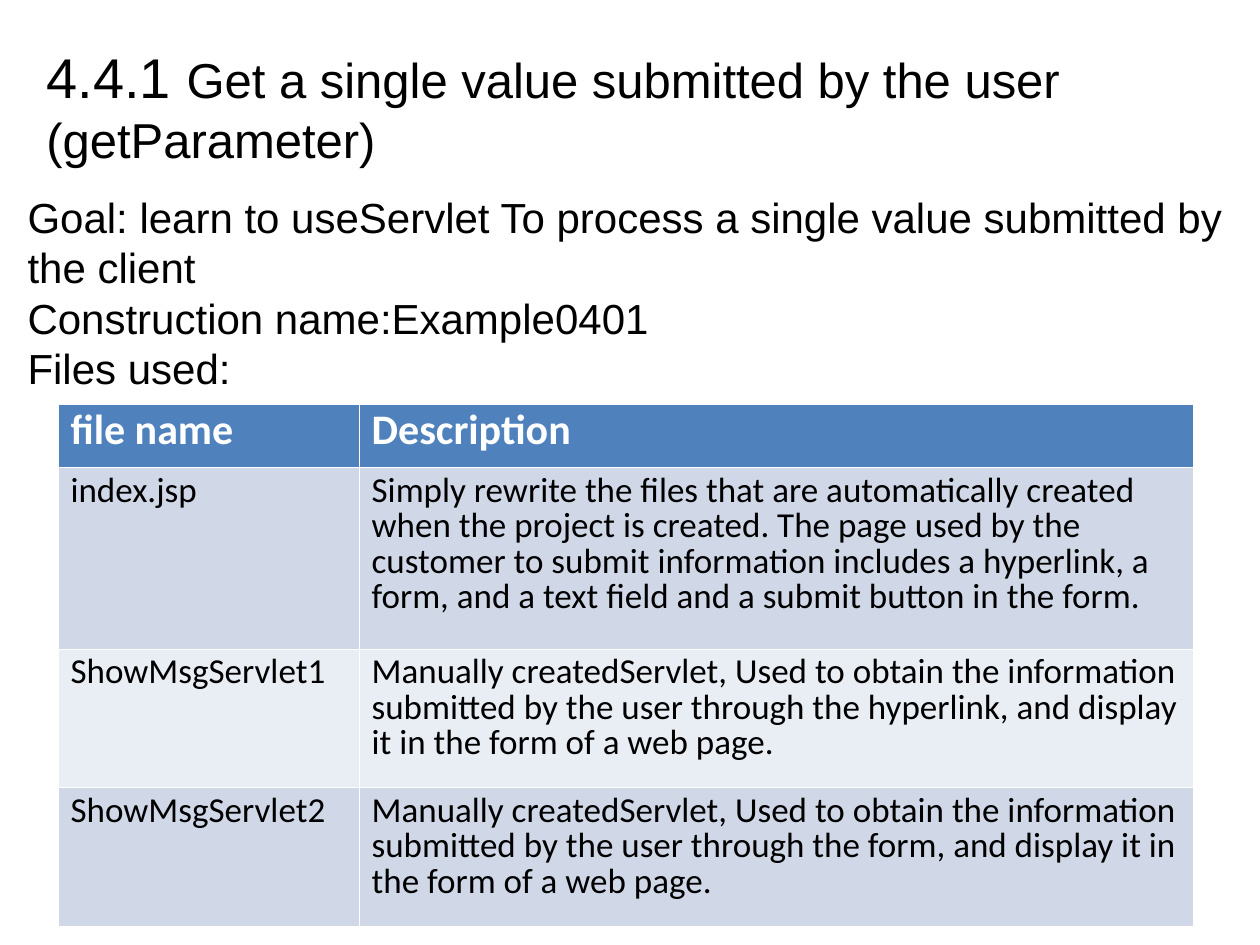
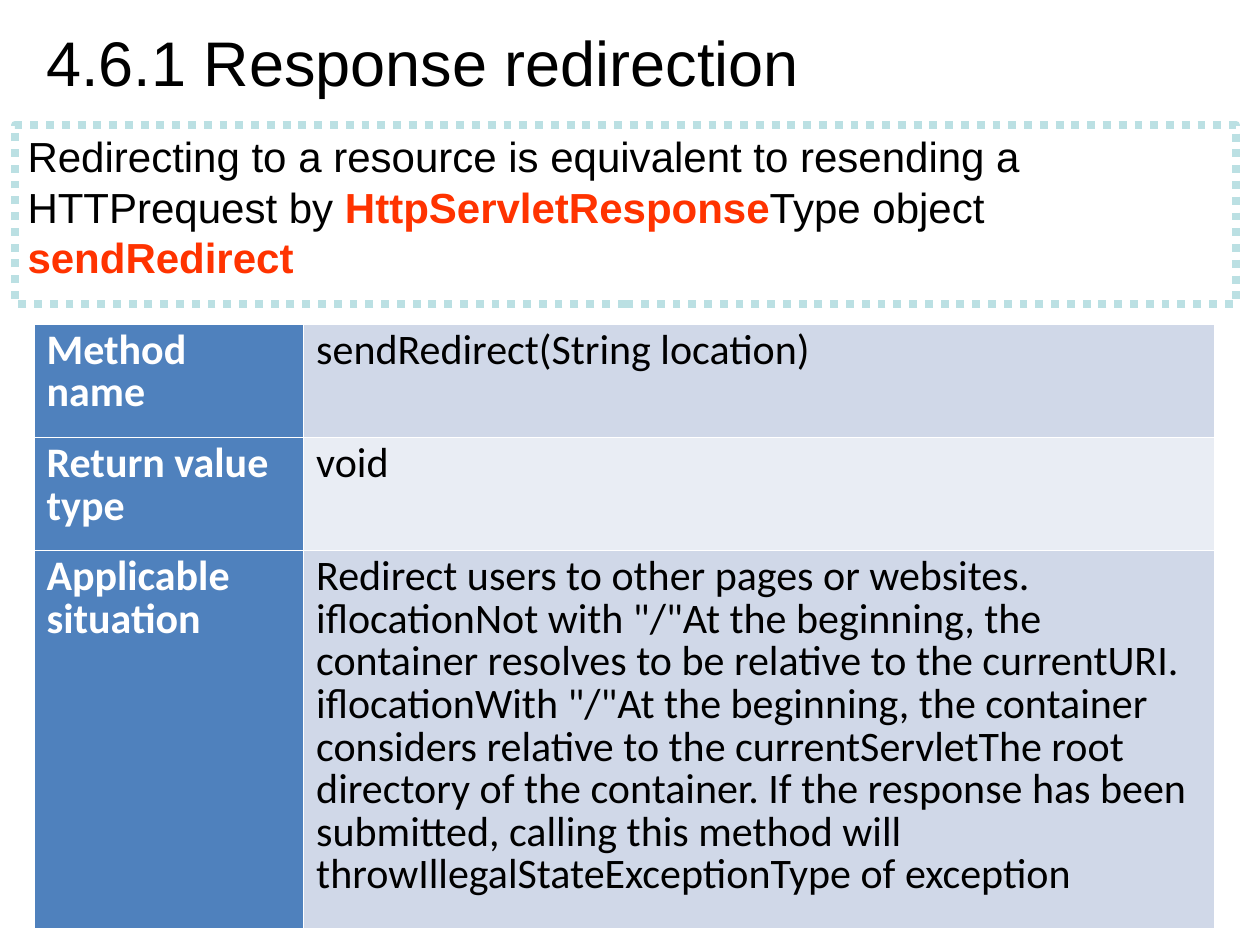
from pptx import Presentation
from pptx.dml.color import RGBColor
from pptx.enum.dml import MSO_LINE
from pptx.enum.shapes import MSO_SHAPE
from pptx.enum.text import MSO_ANCHOR, PP_ALIGN
from pptx.oxml import parse_xml
from pptx.oxml.ns import nsdecls
from pptx.util import Inches, Pt

RECTANGLE = MSO_SHAPE.RECTANGLE
MIDDLE, TOP = MSO_ANCHOR.MIDDLE, MSO_ANCHOR.TOP
LEFT = PP_ALIGN.LEFT
DOTTED = MSO_LINE.ROUND_DOT
COLORS = {
    "text": "000000",
    "white": "FFFFFF",
    "header": "4F81BD",
    "band_dark": "D0D8E8",
    "band_light": "E9EDF4",
    "frame": "BBE0E3",
    "keyword": "FF3300",
}
HEADING_FONT, TABLE_FONT = "Arial", "Calibri"

FILES = [
    ("file name", "Description"),
    ("index.jsp",
     "Simply rewrite the files that are automatically created when the project is created. "
     "The page used by the customer to submit information includes a hyperlink, a form, "
     "and a text field and a submit button in the form."),
    ("ShowMsgServlet1",
     "Manually createdServlet, Used to obtain the information submitted by the user "
     "through the hyperlink, and display it in the form of a web page."),
    ("ShowMsgServlet2",
     "Manually createdServlet, Used to obtain the information submitted by the user "
     "through the form, and display it in the form of a web page."),
]
METHOD = [
    ("Method name", "sendRedirect(String location)"),
    ("Return value type", "void"),
    ("Applicable situation",
     "Redirect users to other pages or websites. iflocationNot with \"/\"At the beginning, "
     "the container resolves to be relative to the currentURI. iflocationWith \"/\"At the "
     "beginning, the container considers relative to the currentServletThe root directory "
     "of the container. If the response has been submitted, calling this method will "
     "throwIllegalStateExceptionType of exception"),
]


def rgb(name):
    """Return the palette colour called name."""
    return RGBColor.from_string(COLORS[name])


def style(font, size, name=HEADING_FONT, color="text", bold=False):
    """Set size, typeface, colour and weight of a font."""
    font.size, font.name, font.bold = Pt(size), name, bold
    font.color.rgb = rgb(color)


def add_runs(p, runs):
    """Fill a paragraph with (text, size, colour, bold) runs."""
    p.alignment = LEFT
    for text, size, color, bold in runs:
        r = p.add_run()
        r.text = text
        style(r.font, size, color=color, bold=bold)


def add_text(s, box, paragraphs, anchor=TOP):
    """Add a wrapping text box with one list of runs per paragraph."""
    tf = s.shapes.add_textbox(*map(Inches, box)).text_frame
    tf.word_wrap, tf.vertical_anchor = True, anchor
    for i, runs in enumerate(paragraphs):
        add_runs(tf.paragraphs[0] if i == 0 else tf.add_paragraph(), runs)


def add_title(s, top, height, *parts):
    """Add the slide title from (text, size) parts."""
    runs = [(text, size, "text", False) for text, size in parts]
    add_text(s, (0.27, top, 9, height), [runs], MIDDLE)


def add_dotted_box(s, box, runs):
    """Add a dotted frame holding one paragraph."""
    sp = s.shapes.add_shape(RECTANGLE, *map(Inches, box))
    sp.shadow.inherit = False
    sp.fill.background()
    sp.line.color.rgb = rgb("frame")
    sp.line.width, sp.line.dash_style = Pt(4.5), DOTTED
    tf = sp.text_frame
    tf.word_wrap, tf.vertical_anchor = True, TOP
    add_runs(tf.paragraphs[0], runs)


def add_borders(cell):
    """Give a cell thin white borders on all sides."""
    tc_pr = cell._tc.get_or_add_tcPr()
    for i, side in enumerate("LRTB"):
        tc_pr.insert(i, parse_xml(
            f'<a:ln{side} {nsdecls("a")} w="3175"><a:solidFill>'
            f'<a:srgbClr val="{COLORS["white"]}"/></a:solidFill></a:ln{side}>'))


def add_grid(s, left, top, widths, heights, rows, body_size, header_row):
    """Add a banded table headed by its first row or its first column."""
    frame = s.shapes.add_table(len(rows), len(widths), Inches(left), Inches(top),
                               Inches(sum(widths)), Inches(sum(heights)))
    table = frame.table
    table.first_row = table.horz_banding = False
    for column, width in zip(table.columns, widths):
        column.width = Inches(width)
    for i, (height, texts) in enumerate(zip(heights, rows)):
        table.rows[i].height = Inches(height)
        band = "band_dark" if (i - header_row) % 2 == 0 else "band_light"
        for j, text in enumerate(texts):
            is_header = (i if header_row else j) == 0
            cell = table.cell(i, j)
            cell.text = text
            cell.fill.solid()
            cell.fill.fore_color.rgb = rgb("header" if is_header else band)
            add_borders(cell)
            p = cell.text_frame.paragraphs[0]
            p.line_spacing = 0.83
            style(p.runs[0].font, 24 if is_header else body_size, TABLE_FONT,
                  "white" if is_header else "text", is_header)


def build_parameter_slide(s):
    """Build the slide on reading a single submitted value."""
    add_title(s, 0.21, 1.25, ("4.4.1 ", 32),
              ("Get a single value submitted by the user (getParameter)", 28))
    add_grid(s, 0.46, 3.21, (2.39, 6.62), (0.5, 1.44, 1.1, 1.1), FILES, 20, True)
    lines = ("Goal: learn to useServlet To process a single value submitted by the client",
             "Construction name:Example0401", "Files used:")
    add_text(s, (0.12, 1.47, 9.69, 1.7), [[(line, 24, "text", False)] for line in lines])


def build_redirect_slide(s):
    """Build the slide on response redirection."""
    add_title(s, 0.05, 0.87, ("4.6.1 Response redirection", 36))
    add_dotted_box(s, (0.12, 0.99, 9.69, 1.42), [
        ("Redirecting to a resource is equivalent to resending a HTTPrequest by ",
         24, "text", False),
        ("HttpServletResponse", 24, "keyword", True),
        ("Type object ", 24, "text", False),
        ("sendRedirect", 24, "keyword", True),
    ])
    add_grid(s, 0.27, 2.57, (2.14, 7.23), (0.9, 0.9, 3), METHOD, 24, False)


def main():
    """Build and save the deck."""
    prs = Presentation()
    prs.slide_width, prs.slide_height = Inches(10), Inches(7.5)
    for build in (build_parameter_slide, build_redirect_slide):
        build(prs.slides.add_slide(prs.slide_layouts[6]))
    prs.save("out.pptx")


if __name__ == "__main__":
    main()
